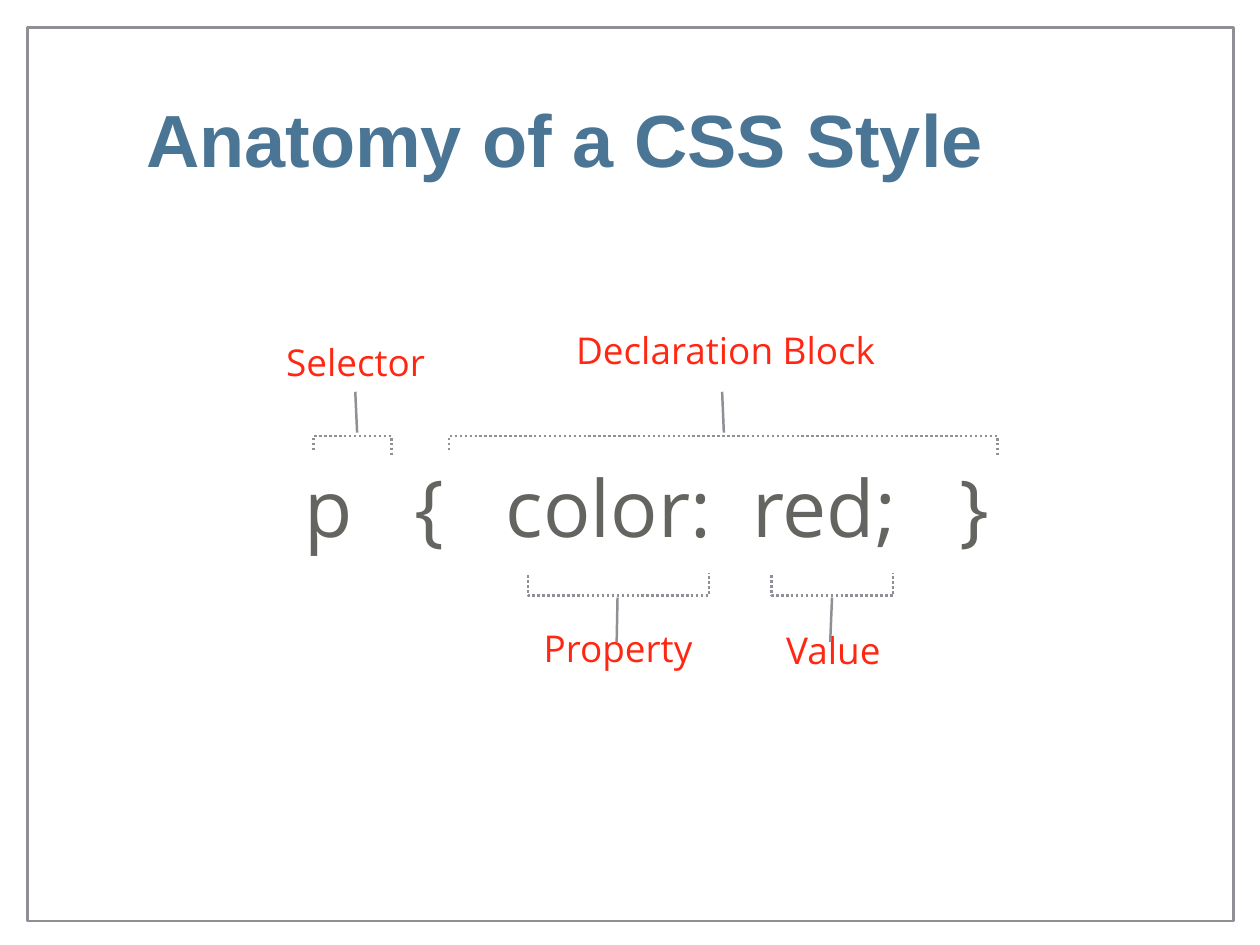
from dataclasses import dataclass

from lxml import etree
from pptx import Presentation
from pptx.dml.color import RGBColor
from pptx.enum.dml import MSO_LINE
from pptx.enum.shapes import MSO_CONNECTOR, MSO_SHAPE
from pptx.enum.text import MSO_ANCHOR, PP_ALIGN
from pptx.oxml.ns import qn
from pptx.shapes.base import BaseShape
from pptx.slide import Slide
from pptx.util import Pt

RECT = MSO_SHAPE.RECTANGLE
LINE = MSO_CONNECTOR.STRAIGHT
DOT = MSO_LINE.ROUND_DOT
LEFT, MID = PP_ALIGN.LEFT, PP_ALIGN.CENTER
TOP, CENTRE = MSO_ANCHOR.TOP, MSO_ANCHOR.MIDDLE
COLORS = {"line": "908F95", "title": "4A7594", "code": "646461", "label": "FF2712"}


@dataclass
class Label:
    text: str
    x: float
    y: float
    w: float
    h: float
    color: str = "label"
    size: float = 30
    font: str = "Open Sans"
    bold: bool = False
    align: PP_ALIGN = MID
    anchor: MSO_ANCHOR = TOP
    space: float = 0.7
    inset: float = 0
    indent: float = 0


@dataclass
class Token:
    text: str
    x: float
    w: float


@dataclass
class Side:
    bar: float
    left: float
    right: float
    near: float
    far: float


@dataclass
class Bracket:
    left: float
    right: float
    near: float
    far: float
    side: Side


ABOVE = Side(354.2, 365.8, 370.1, 351.4, 318.2)
BELOW = Side(483.8, 467.3, 465.1, 485.3, 521.3)

LABELS = [
    Label("Anatomy of a CSS Style", 82.1, 20.2, 859.7, 192.2, "title", 60, "Arial",
          True, LEFT, CENTRE, 0.9, 4.3, 32.4),
    Label("Selector", 192.2, 275.8, 193.7, 44.6, space=1),
    Label("Declaration Block", 385.2, 275.8, 409, 92.9),
    Label("Property", 377.3, 517.7, 249.8, 64.1),
    Label("Value", 594.7, 519.8, 164.9, 64.1),
]

TOKENS = [
    Token("p", 247.6, 60),
    Token("{", 336.7, 60),
    Token("color:", 410.8, 190),
    Token("red;", 611.2, 150),
    Token("}", 779.3, 60),
]

BRACKETS = [
    Bracket(254.9, 318.2, 290.2, 288.7, ABOVE),
    Bracket(365, 810.7, 588.2, 586.8, ABOVE),
    Bracket(429.1, 576, 501.8, 501.1, BELOW),
    Bracket(627.1, 725.8, 676.1, 674.6, BELOW),
]


def paint(color: str) -> RGBColor:
    return RGBColor.from_string(COLORS[color])


def outline(shape: BaseShape) -> None:
    shape.line.color.rgb = paint("line")
    shape.line.width = Pt(2)


def hollow(shape: BaseShape) -> None:
    shape.fill.background()
    shape.shadow.inherit = False
    outline(shape)


def add_label(slide: Slide, label: Label) -> None:
    box = slide.shapes.add_textbox(Pt(label.x), Pt(label.y), Pt(label.w), Pt(label.h))
    frame = box.text_frame
    frame.word_wrap = True
    frame.vertical_anchor = label.anchor
    frame.margin_left = frame.margin_right = Pt(label.inset)
    frame.margin_top = frame.margin_bottom = Pt(label.inset)
    para = frame.paragraphs[0]
    para.alignment = label.align
    para.line_spacing = label.space
    props = para._p.get_or_add_pPr()
    props.set("marL", str(Pt(label.indent)))
    props.set("indent", "0")
    run = para.add_run()
    run.text = label.text
    run.font.name = label.font
    run.font.size = Pt(label.size)
    run.font.bold = label.bold
    run.font.color.rgb = paint(label.color)


def add_token(slide: Slide, token: Token) -> None:
    add_label(slide, Label(token.text, token.x, 372.5, token.w, 125.3, "code", 64,
                           align=LEFT, space=1))


def add_bracket(slide: Slide, item: Bracket) -> None:
    side = item.side
    path = slide.shapes.build_freeform(Pt(item.left), Pt(side.left))
    path.add_line_segments([
        (Pt(item.left), Pt(side.bar)),
        (Pt(item.right), Pt(side.bar)),
        (Pt(item.right), Pt(side.right)),
    ], close=False)
    shape = path.convert_to_shape()
    hollow(shape)
    shape.line.dash_style = DOT
    stem = slide.shapes.add_connector(
        LINE, Pt(item.near), Pt(side.near), Pt(item.far), Pt(side.far))
    outline(stem)
    etree.SubElement(stem._element.spPr, qn("a:effectLst"))


def main() -> None:
    deck = Presentation()
    deck.slide_width = Pt(1023.84)
    deck.slide_height = Pt(767.52)
    slide = deck.slides.add_slide(deck.slide_layouts[6])
    hollow(slide.shapes.add_shape(RECT, Pt(22.3), Pt(22.3), Pt(980), Pt(725.8)))
    for label in LABELS:
        add_label(slide, label)
    for token in TOKENS:
        add_token(slide, token)
    for item in BRACKETS:
        add_bracket(slide, item)
    deck.save("out.pptx")


if __name__ == "__main__":
    main()
